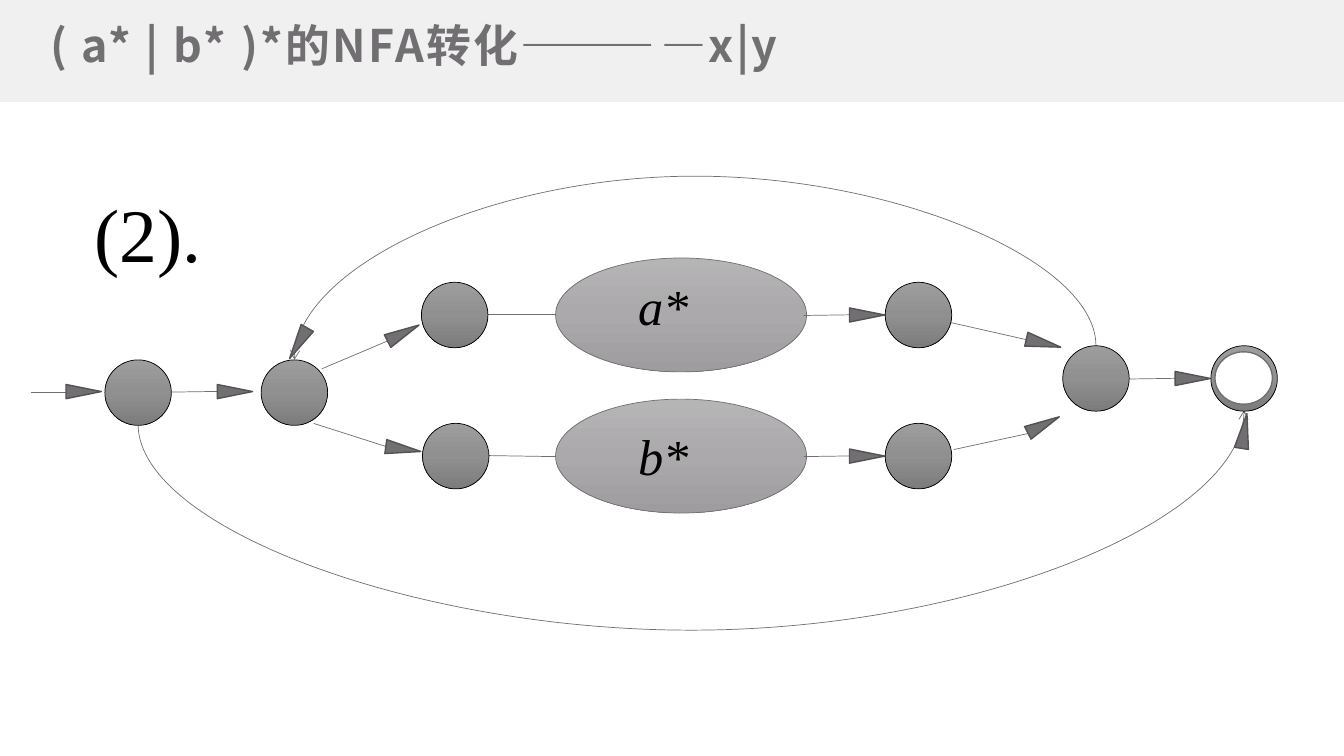
from copy import deepcopy
from dataclasses import dataclass

from lxml import etree
from pptx import Presentation
from pptx import util as u
from pptx.dml.color import RGBColor
from pptx.enum import shapes, text
from pptx.oxml import ns

CELL = u.Inches(0.1)
COLUMNS, ROWS = 133.3, 75

WHITE = RGBColor(0xFF, 0xFF, 0xFF)
BLACK = RGBColor(0x00, 0x00, 0x00)
BAND = RGBColor(0xF0, 0xF0, 0xF0)
GREY = RGBColor(0x72, 0x6F, 0x72)
HEAD_EDGE = RGBColor(0x54, 0x52, 0x54)
RING_EDGE = RGBColor(0x70, 0x71, 0x6D)
STATE_SHADES = [RGBColor(0x9D, 0x9D, 0x9D), RGBColor(0x90, 0x90, 0x90), RGBColor(0x7C, 0x7C, 0x7C)]
MACHINE_SHADES = [RGBColor(0xB6, 0xB5, 0xB6), RGBColor(0xAB, 0xA9, 0xAB), RGBColor(0x9E, 0x9C, 0x9E)]

SANS, SERIF = "Noto Sans CJK SC", "Times New Roman"


@dataclass(frozen=True)
class Box:
    column: float
    row: float
    columns: float
    rows: float

    def emu(self) -> list[int]:
        return [cells(n) for n in (self.column, self.row, self.columns, self.rows)]


@dataclass(frozen=True)
class Head:
    column: float
    row: float
    angle: float


@dataclass(frozen=True)
class Edge:
    start: tuple[float, float]
    end: tuple[float, float]
    head: Head | None = None


@dataclass(frozen=True)
class Loop:
    start: tuple[float, float]
    end: tuple[float, float]
    apex: float
    head: Head


@dataclass(frozen=True)
class Machine:
    row: float
    label: str
    label_row: float


STATES = [(10.4, 35.7), (25.9, 35.7), (41.8, 28), (41.9, 42),
          (87.8, 28), (87.8, 42), (105.4, 34.3), (120.1, 34.3)]
ACCEPTING = Box(120.5, 34.9, 5.7, 5.2)
MACHINES = [Machine(25.6, "a*", 26.8), Machine(39.6, "b*", 41.7)]
EDGES = [
    Edge((3.1, 38.9), (6.5, 38.9), Head(7.6, 37.1, 90)),
    Edge((17, 38.9), (23.8, 38.8), Head(22.6, 37.1, 90)),
    Edge((31.9, 36.6), (38.5, 33.8), Head(39.3, 31.3, 63)),
    Edge((31.1, 42), (38.3, 44.3), Head(39.3, 42.8, 98)),
    Edge((48.4, 31.2), (55.1, 31.2)),
    Edge((48.5, 45.2), (55.1, 45.3)),
    Edge((79.7, 31.3), (86.6, 31.2), Head(85.3, 29.5, 90)),
    Edge((79.7, 45.3), (86.6, 45.2), Head(85.3, 43.5, 90)),
    Edge((94.3, 32), (101.8, 33.7), Head(102.8, 32.3, 103)),
    Edge((94.6, 44.6), (102, 43), Head(102.8, 40.4, 63)),
    Edge((112, 37.6), (118.8, 37.5), Head(117.6, 35.8, 90)),
]
LOOPS = [
    Loop((108.7, 34.3), (29.2, 35.7), 17.5, Head(28.9, 32.3, 210)),
    Loop((13.7, 42.1), (123.4, 40.7), 62.5, Head(122.7, 41, 9)),
]


def cells(count: float) -> int:
    return round(count * CELL)


def draw_shape(slide, kind, box: Box, shades: list[RGBColor], edge: RGBColor | None, width: float = 0.5):
    shape = slide.shapes.add_shape(kind, *box.emu())
    shape.shadow.inherit = False
    if len(shades) == 1:
        shape.fill.solid()
        shape.fill.fore_color.rgb = shades[0]
    else:
        shape.fill.gradient()
        shape.fill.gradient_angle = 270
        stops = shape._element.spPr.find(f".//{ns.qn('a:gsLst')}")
        stops.append(deepcopy(stops[-1]))
        for index, (stop, shade) in enumerate(zip(shape.fill.gradient_stops, shades)):
            stop.position = index / (len(shades) - 1)
            stop.color.rgb = shade
    if edge is None:
        shape.line.fill.background()
    else:
        shape.line.color.rgb = edge
        shape.line.width = u.Pt(width)
    return shape


def draw_head(slide, head: Head) -> None:
    box = Box(head.column, head.row, 1.4, 3.5)
    triangle = draw_shape(slide, shapes.MSO_SHAPE.ISOSCELES_TRIANGLE, box, [GREY], HEAD_EDGE, 1)
    triangle.rotation = head.angle


def draw_connector(slide, kind, start: tuple[float, float], end: tuple[float, float]):
    connector = slide.shapes.add_connector(kind, *[cells(n) for n in (*start, *end)])
    connector.line.color.rgb = GREY
    connector.line.width = u.Pt(0.5)
    etree.SubElement(connector._element.spPr, ns.qn("a:effectLst"))
    return connector


def draw_edge(slide, edge: Edge) -> None:
    draw_connector(slide, shapes.MSO_CONNECTOR.STRAIGHT, edge.start, edge.end)
    if edge.head:
        draw_head(slide, edge.head)


def draw_loop(slide, loop: Loop) -> None:
    (x1, y1), (x2, y2) = loop.start, loop.end
    rise, span = abs(y2 - y1), abs(x2 - x1)
    middle_x, middle_y = (x1 + x2) / 2, (y1 + y2) / 2
    curve = draw_connector(
        slide, shapes.MSO_CONNECTOR.CURVE,
        (middle_x + rise / 2, middle_y + span / 2),
        (middle_x - rise / 2, middle_y - span / 2))
    properties = curve._element.spPr
    turn = 270 if loop.apex < y1 else 90
    properties.find(ns.qn("a:xfrm")).set("rot", str(turn * 60000))
    bulge = round(-abs(loop.apex - y1) / rise * 100000)
    guides = properties.find(f".//{ns.qn('a:avLst')}")
    etree.SubElement(guides, ns.qn("a:gd"), name="adj1", fmla=f"val {bulge}")
    etree.SubElement(properties.find(ns.qn("a:ln")), ns.qn("a:tailEnd"), type="arrow")
    draw_head(slide, loop.head)


def draw_label(slide, words: str, box: Box, size: float, italic: bool = False) -> None:
    frame = slide.shapes.add_textbox(*box.emu()).text_frame
    frame.word_wrap = True
    frame.auto_size = text.MSO_AUTO_SIZE.SHAPE_TO_FIT_TEXT
    frame.text = words
    font = frame.paragraphs[0].runs[0].font
    font.name, font.size, font.italic = SERIF, u.Pt(size), italic
    font.color.rgb = BLACK


def draw_title(slide, words: str) -> None:
    title = slide.shapes.title
    slide.shapes._spTree.append(title._element)
    title.left, title.top, title.width, title.height = Box(4.3, 1.1, 123.3, 6.7).emu()
    frame = title.text_frame
    frame.text = words
    frame.word_wrap = True
    frame.auto_size = text.MSO_AUTO_SIZE.NONE
    frame.vertical_anchor = text.MSO_ANCHOR.MIDDLE
    frame.margin_left = frame.margin_right = u.Inches(0.07)
    frame.margin_top = frame.margin_bottom = u.Inches(0.03)
    frame.paragraphs[0].alignment = text.PP_ALIGN.LEFT
    run = frame.paragraphs[0].runs[0]
    run.font.name, run.font.size, run.font.bold = SANS, u.Pt(32), True
    run.font.color.rgb = GREY
    properties = run._r.get_or_add_rPr()
    properties.set("spc", "160")
    etree.SubElement(properties, ns.qn("a:ea"), typeface=SANS)


def main() -> None:
    deck = Presentation()
    deck.slide_width, deck.slide_height = cells(COLUMNS), cells(ROWS)
    slide = deck.slides.add_slide(deck.slide_layouts[5])
    oval = shapes.MSO_SHAPE.OVAL

    draw_shape(slide, shapes.MSO_SHAPE.RECTANGLE, Box(0, 0, COLUMNS, 10.1), [BAND], None)
    draw_title(slide, "( a* | b* )*的NFA转化————x|y")
    draw_label(slide, "(2).", Box(8.4, 18, 31.7, 10.1), 54)
    for machine in MACHINES:
        draw_shape(slide, oval, Box(55.1, machine.row, 24.9, 11.3), MACHINE_SHADES, GREY)
        draw_label(slide, machine.label, Box(62.3, machine.label_row, 28.7, 7.1), 36, True)
    for edge in EDGES:
        draw_edge(slide, edge)
    for loop in LOOPS:
        draw_loop(slide, loop)
    for column, row in STATES:
        draw_shape(slide, oval, Box(column, row, 6.6, 6.5), STATE_SHADES, BLACK)
    draw_shape(slide, oval, ACCEPTING, [WHITE], RING_EDGE, 1)
    deck.save("out.pptx")


if __name__ == "__main__":
    main()
